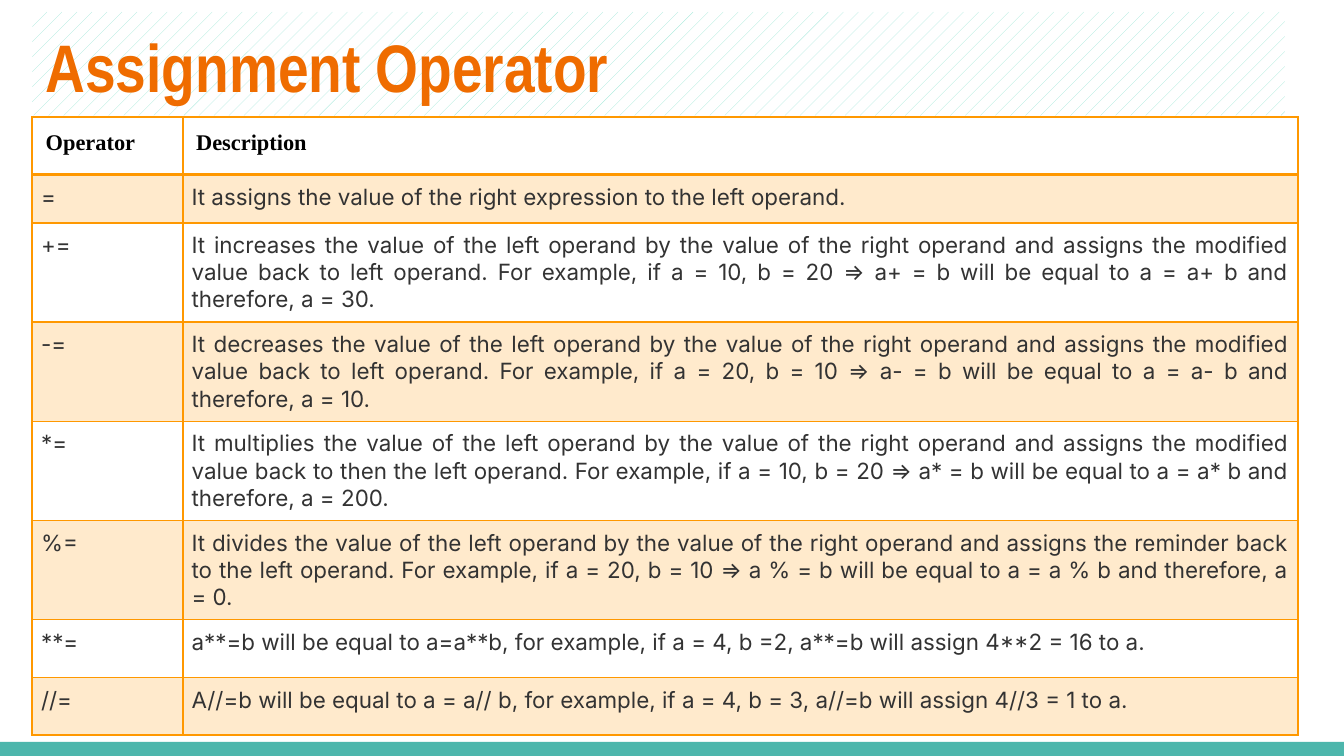
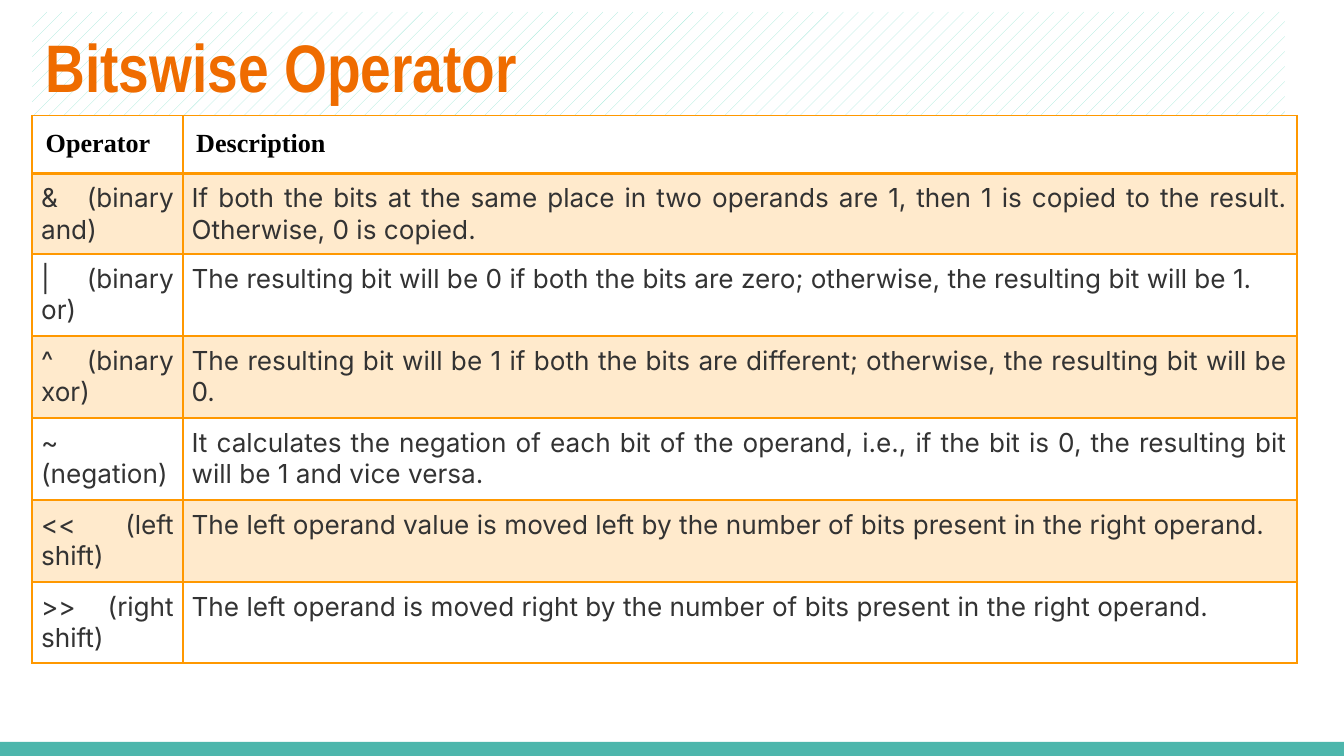
from lxml import etree
from pptx import Presentation
from pptx.dml.color import RGBColor
from pptx.enum.dml import MSO_PATTERN
from pptx.enum.shapes import MSO_SHAPE
from pptx.enum.text import MSO_ANCHOR, PP_ALIGN
from pptx.oxml.ns import qn
from pptx.util import Inches, Pt

RECT = MSO_SHAPE.RECTANGLE
DOTS = MSO_PATTERN.PERCENT_10
LEFT, FULL = PP_ALIGN.LEFT, PP_ALIGN.JUSTIFY
TOP = MSO_ANCHOR.TOP

# Content
HEAD = ("Operator", "Description")
SLIDES = [
    {
        "title": "Assignment Operator",
        "size": 12, "top": 0.87, "cols": (1.12, 8.3),
        "high": (0.43, 0.36, 0.71, 0.71, 0.71, 0.71, 0.43, 0.43),
        "rows": [
            ("=", "It assigns the value of the right expression to the left operand."),
            ("+=", "It increases the value of the left operand by the value of the right "
                   "operand and assigns the modified value back to left operand. For example, "
                   "if a = 10, b = 20 => a+ = b will be equal to a = a+ b and therefore, a = 30."),
            ("-=", "It decreases the value of the left operand by the value of the right "
                   "operand and assigns the modified value back to left operand. For example, "
                   "if a = 20, b = 10 => a- = b will be equal to a = a- b and therefore, a = 10."),
            ("*=", "It multiplies the value of the left operand by the value of the right "
                   "operand and assigns the modified value back to then the left operand. For example, "
                   "if a = 10, b = 20 => a* = b will be equal to a = a* b and therefore, a = 200."),
            ("%=", "It divides the value of the left operand by the value of the right "
                   "operand and assigns the reminder back to the left operand. For example, "
                   "if a = 20, b = 10 => a % = b will be equal to a = a % b and therefore, a = 0."),
            ("**=", "a**=b will be equal to a=a**b, for example, if a = 4, b =2, "
                    "a**=b will assign 4**2 = 16 to a."),
            ("//=", "A//=b will be equal to a = a// b, for example, if a = 4, b = 3, "
                    "a//=b will assign 4//3 = 1 to a."),
        ],
    },
    {
        "title": "Bitswise Operator",
        "size": 14, "top": 0.86, "cols": (1.12, 8.29),
        "high": (0.43, 0.6, 0.61, 0.61, 0.61, 0.61, 0.6),
        "rows": [
            ("& (binary and)", "If both the bits at the same place in two operands are 1, "
                               "then 1 is copied to the result. Otherwise, 0 is copied."),
            ("| (binary or)", "The resulting bit will be 0 if both the bits are zero; "
                              "otherwise, the resulting bit will be 1."),
            ("^ (binary xor)", "The resulting bit will be 1 if both the bits are different; "
                               "otherwise, the resulting bit will be 0."),
            ("~ (negation)", "It calculates the negation of each bit of the operand, i.e., "
                             "if the bit is 0, the resulting bit will be 1 and vice versa."),
            ("<< (left shift)", "The left operand value is moved left by the number of bits "
                                "present in the right operand."),
            (">> (right shift)", "The left operand is moved right by the number of bits "
                                 "present in the right operand."),
        ],
    },
]

# Shared look
WIDE, EDGE = 10, 0.24
TALL = WIDE * 9 / 16
ROOMY, TIGHT = 7.2, 4.75
TEAL, MINT, WHITE = "4DB6AC", "A1E8D9", "FFFFFF"
RUST, AMBER, INK, BLACK = "EF6C00", "FF9800", "333333", "000000"


def rgb(code):
    return RGBColor.from_string(code)


def style(para, face, size, color, bold, align):
    para.alignment = align
    font = para.runs[0].font
    font.name, font.size, font.bold = face, Pt(size), bold
    font.color.rgb = rgb(color)


def pad(box, gap):
    box.margin_left = box.margin_right = Pt(gap)
    box.margin_top = box.margin_bottom = Pt(gap)


def block(slide, *area):
    box = slide.shapes.add_shape(RECT, *map(Inches, area))
    box.shadow.inherit = False
    box.line.fill.background()
    return box


def tint(parent, code):
    fill = etree.SubElement(parent, qn("a:solidFill"))
    return etree.SubElement(fill, qn("a:srgbClr"), val=code)


def border(cell, base):
    props = cell._tc.get_or_add_tcPr()
    for side, width in zip("LRTB", (1, 1, 1, base)):
        line = etree.SubElement(props, qn("a:ln" + side), w=str(Pt(width)))
        tint(line, AMBER)


def paint(cell, on):
    if not on:
        cell.fill.background()
        return
    color = tint(cell._tc.get_or_add_tcPr(), AMBER)
    etree.SubElement(color, qn("a:alpha"), val="20000")


def frame(slide, title):
    # Footer band
    band = block(slide, 0, 5.52, WIDE, 0.11)
    band.fill.solid()
    band.fill.fore_color.rgb = rgb(TEAL)
    # Hatched title
    box = block(slide, EDGE, 0.09, 9.32, 0.77)
    box.fill.patterned()
    box.fill.pattern = DOTS
    box.fill.fore_color.rgb = rgb(MINT)
    box.fill.back_color.rgb = rgb(WHITE)
    text = box.text_frame
    text.text, text.word_wrap, text.vertical_anchor = title, True, TOP
    pad(text, ROOMY)
    style(text.paragraphs[0], "Arial Narrow", 36, RUST, True, LEFT)


def grid(slide, data):
    rows = [HEAD] + data["rows"]
    cols, high = data["cols"], data["high"]
    area = (EDGE, data["top"], sum(cols), sum(high))
    table = slide.shapes.add_table(len(rows), len(cols), *map(Inches, area)).table
    table.first_row = table.horz_banding = False
    for col, width in zip(table.columns, cols):
        col.width = Inches(width)
    for r, words in enumerate(rows):
        table.rows[r].height = Inches(high[r])
        for c, word in enumerate(words):
            cell = table.cell(r, c)
            cell.text = word
            para = cell.text_frame.paragraphs[0]
            if r == 0:
                pad(cell, ROOMY)
                style(para, "Times New Roman", data["size"], BLACK, True, LEFT)
            else:
                pad(cell, TIGHT)
                style(para, "Inter", data["size"], INK, False, FULL)
            border(cell, 1 if r else 2)
            paint(cell, r % 2)


def main():
    deck = Presentation()
    deck.slide_width, deck.slide_height = Inches(WIDE), Inches(TALL)
    for data in SLIDES:
        slide = deck.slides.add_slide(deck.slide_layouts[6])
        frame(slide, data["title"])
        grid(slide, data)
    deck.save("out.pptx")


if __name__ == "__main__":
    main()
